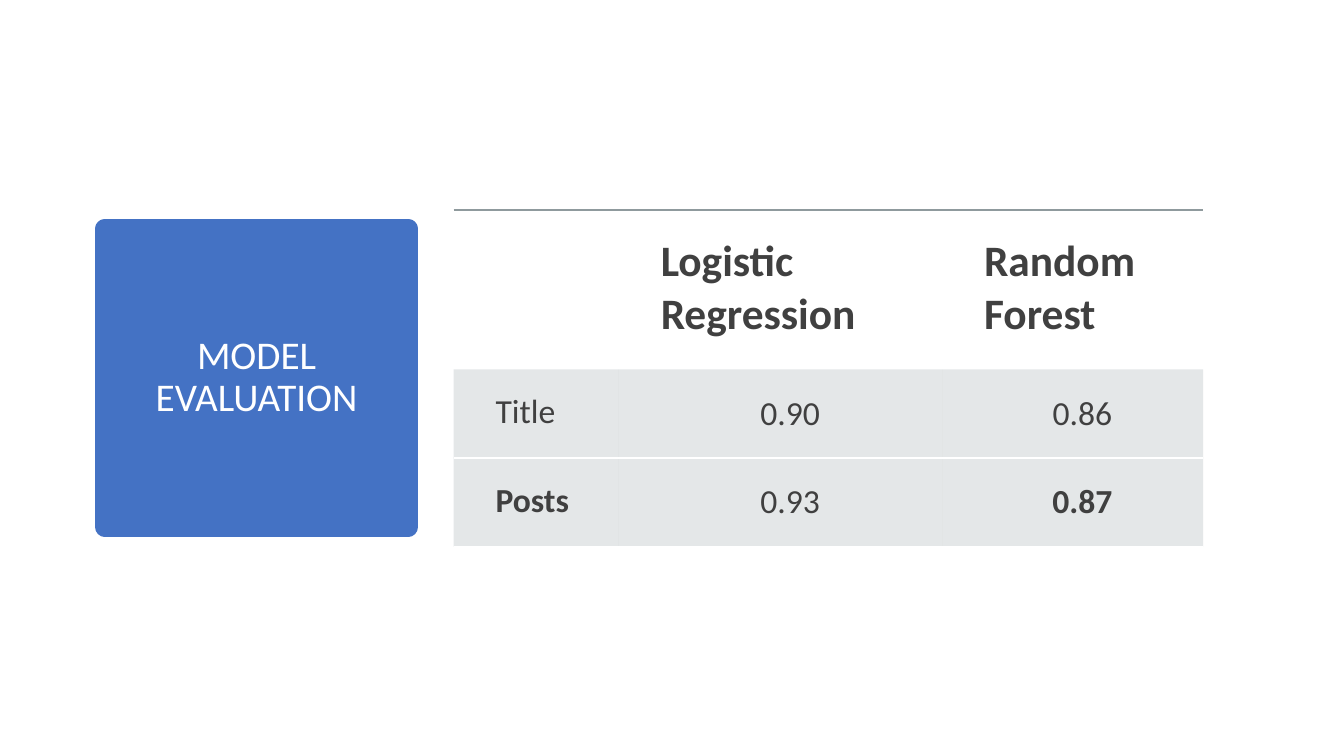
import pptx
import pptx.dml.color
import pptx.enum.text
import pptx.oxml
import pptx.oxml.ns
import pptx.util
from lxml import etree

Pt = pptx.util.Pt
RGB = pptx.dml.color.RGBColor.from_string
Align = pptx.enum.text.PP_ALIGN
Anchor = pptx.enum.text.MSO_ANCHOR
qn = pptx.oxml.ns.qn

COLORS = {
    "accent": "4472C4",
    "white": "FFFFFF",
    "text": "404040",
    "band": "B4BCBE",
    "rule": "8F9A9D",
}
SCORES = [
    ["", "Logistic Regression", "Random Forest"],
    ["Title", "0.90", "0.86"],
    ["Posts", "0.93", "0.87"],
]
BOLD_SCORES = {"Posts", "0.87"}
COLUMN_WIDTHS = [118, 231, 186.5]
ROW_HEIGHTS = [113.76, 63.36, 63.36]


class SlideBuilder:
    font = "Calibri"

    def __init__(self, slide):
        self.slide = slide

    def style(self, paragraph, size, color, bold=False):
        for run in paragraph.runs:
            run.font.name = self.font
            run.font.size = Pt(size)
            run.font.bold = bold
            run.font.color.rgb = RGB(COLORS[color])

    def set_alpha(self, solid_fill, percent):
        etree.SubElement(solid_fill[0], qn("a:alpha"), val=str(percent * 1000))

    def title(self, text, left, top, width, height):
        heading = self.slide.shapes.title
        heading.left, heading.top = Pt(left), Pt(top)
        heading.width, heading.height = Pt(width), Pt(height)
        heading.fill.solid()
        heading.fill.fore_color.rgb = RGB(COLORS["accent"])
        heading.line.color.rgb = RGB(COLORS["accent"])
        heading.line.width = Pt(13.75)
        outline = heading.fill._xPr.find(qn("a:ln"))
        etree.SubElement(outline, qn("a:round"))
        frame = heading.text_frame
        frame.text = text
        frame.word_wrap = True
        frame.auto_size = pptx.enum.text.MSO_AUTO_SIZE.NONE
        frame.vertical_anchor = Anchor.MIDDLE
        paragraph = frame.paragraphs[0]
        paragraph.alignment = Align.CENTER
        paragraph.line_spacing = 0.9
        self.style(paragraph, 28, "white")

    def borders(self, cell, edges):
        properties = cell._tc.get_or_add_tcPr()
        for index, side in enumerate(["lnL", "lnR", "lnT", "lnB"]):
            line = etree.Element(qn("a:" + side), w=str(Pt(1.5)))
            properties.insert(index, line)
            if side not in edges:
                etree.SubElement(line, qn("a:noFill"))
                continue
            color, opacity = edges[side]
            fill = etree.SubElement(line, qn("a:solidFill"))
            etree.SubElement(fill, qn("a:srgbClr"), val=COLORS[color])
            if opacity < 100:
                self.set_alpha(fill, opacity)

    def cell(self, cell, text, is_header, is_label, edges):
        margin = 18 if is_header else 16
        cell.margin_left = Pt(30)
        cell.margin_top = cell.margin_right = cell.margin_bottom = Pt(margin)
        cell.text = text
        paragraph = cell.text_frame.paragraphs[0]
        if is_header:
            cell.fill.background()
            self.style(paragraph, 31, "text", True)
        else:
            cell.fill.solid()
            cell.fill.fore_color.rgb = RGB(COLORS["band"])
            self.set_alpha(cell._tc.tcPr.find(qn("a:solidFill")), 35)
            self.style(paragraph, 24, "text", text in BOLD_SCORES)
            if not is_label:
                cell.vertical_anchor = Anchor.MIDDLE
                paragraph.alignment = Align.CENTER
        self.borders(cell, edges)

    def table(self, rows, left, top, widths, heights):
        scores = self.slide.shapes.add_table(
            len(rows), len(widths), Pt(left), Pt(top),
            Pt(sum(widths)), Pt(sum(heights))).table
        scores.first_row = False
        scores.horz_banding = False
        for column, width in zip(scores.columns, widths):
            column.width = Pt(width)
        for row, height in zip(scores.rows, heights):
            row.height = Pt(height)
        row_edges = [
            {"lnT": ("rule", 60)},
            {"lnB": ("white", 100)},
            {"lnT": ("white", 100), "lnB": ("white", 100)},
        ]
        for r, (texts, edges) in enumerate(zip(rows, row_edges)):
            for c, text in enumerate(texts):
                self.cell(scores.cell(r, c), text, r == 0, c == 0, edges)


def main():
    deck = pptx.Presentation()
    deck.slide_width, deck.slide_height = Pt(960), Pt(540)
    builder = SlideBuilder(deck.slides.add_slide(deck.slide_layouts[5]))
    builder.title("MODEL EVALUATION", 74.9, 163.4, 216.7, 213.1)
    builder.table(SCORES, 324, 150, COLUMN_WIDTHS, ROW_HEIGHTS)
    deck.save("out.pptx")


if __name__ == "__main__":
    main()
